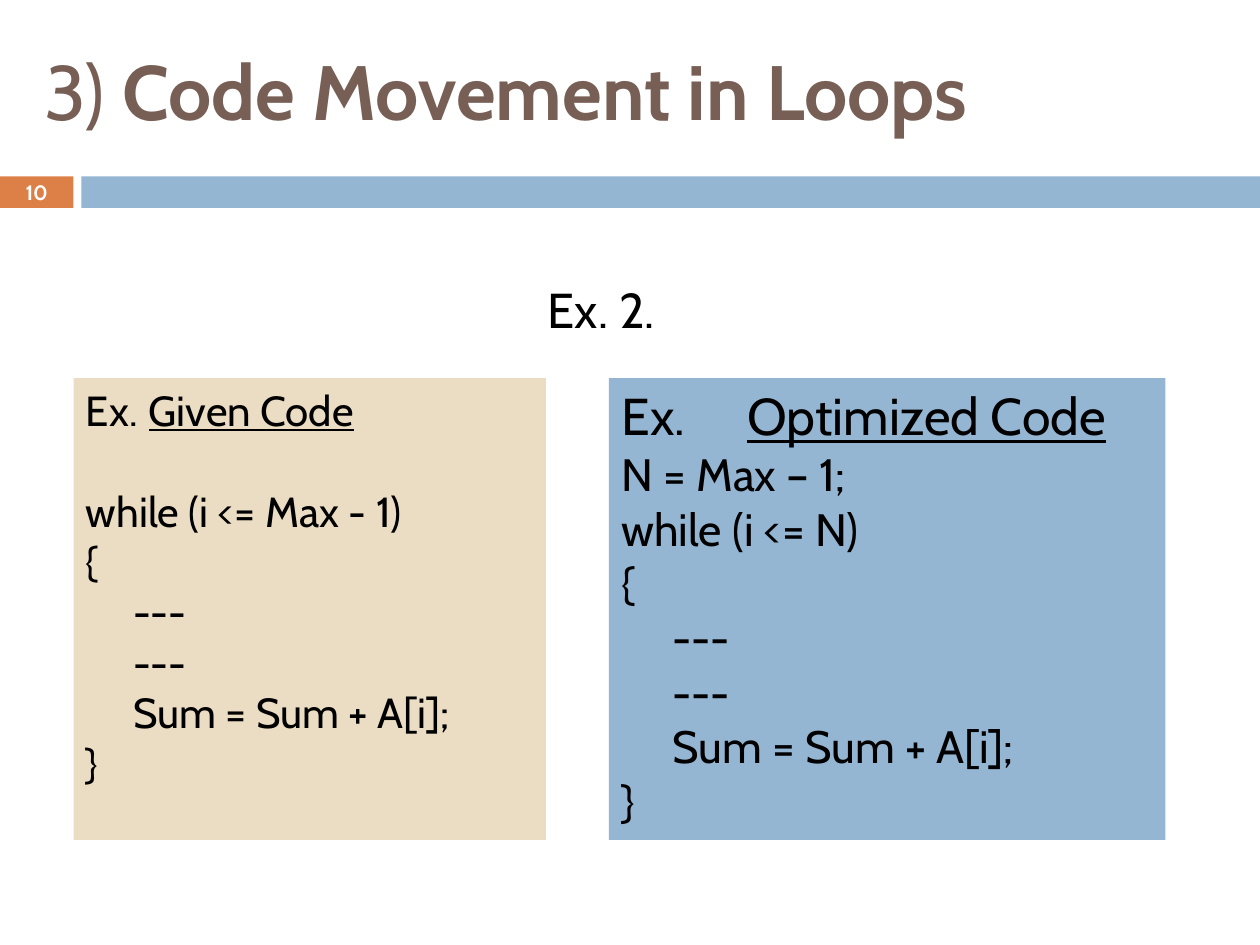
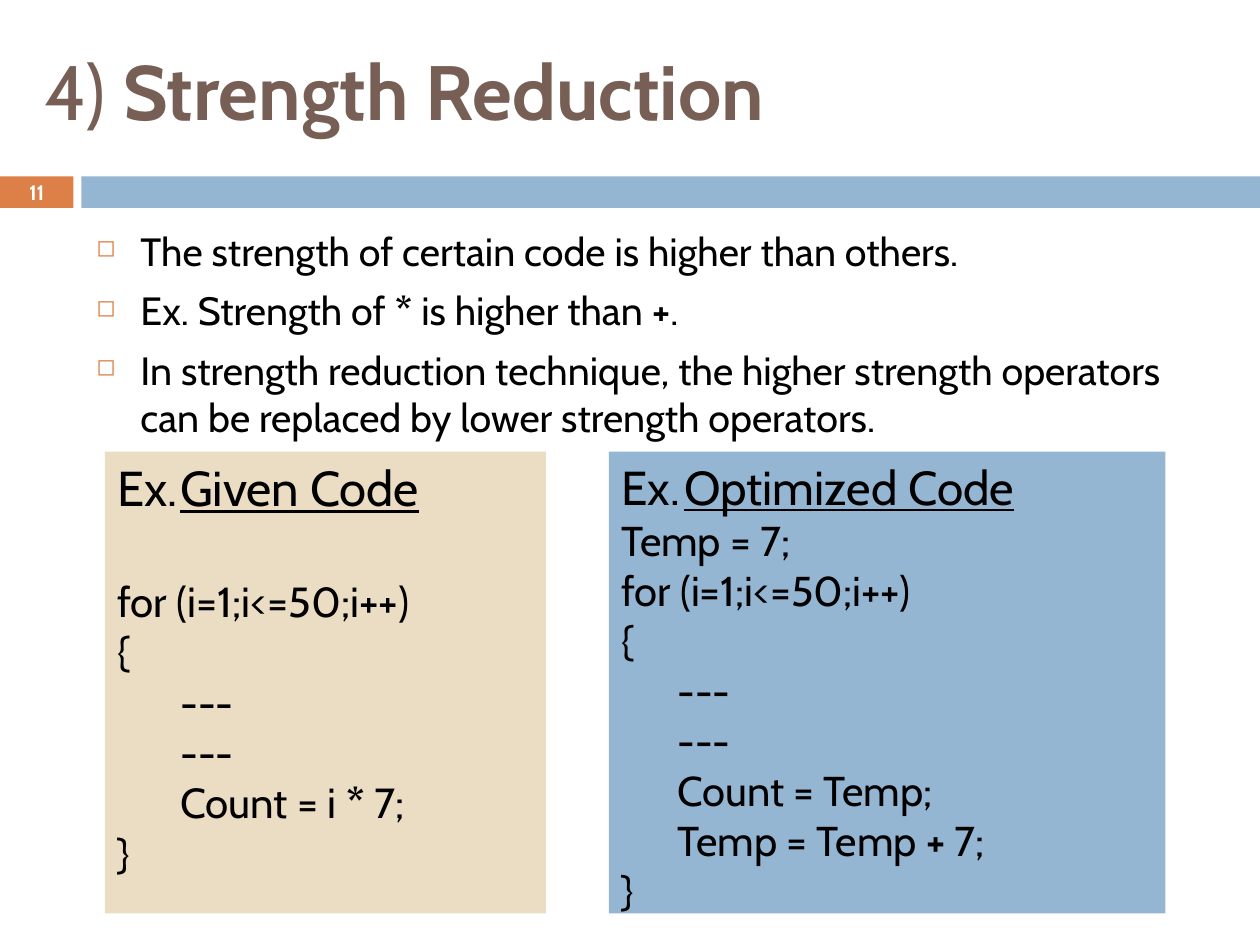
import pptx
import pptx.util
import pptx.dml.color
import pptx.enum.shapes
import pptx.enum.text
from dataclasses import dataclass
from lxml import etree

Pt = pptx.util.Pt
ALIGN = pptx.enum.text.PP_ALIGN
ANCHOR = pptx.enum.text.MSO_ANCHOR


@dataclass(frozen=True)
class Theme:
    font: str = "Cabin"
    brown: str = "775F55"
    orange: str = "DD8047"
    blue: str = "94B6D2"
    sand: str = "EBDDC3"
    black: str = "000000"
    white: str = "FFFFFF"
    title: float = 44
    note: float = 28
    point: float = 22.5
    page: float = 11.9
    line: float = 1.2


T = Theme()

# Content: a bar "|" switches bold on and off
SLIDES = [
    dict(
        page="10", title="3) |Code Movement in Loops", top=216, note="Ex. 2.", points=[],
        given=dict(left=42, sizes=(24, 24), gap=True, code=[
            "while (i <= Max - 1)", "{", "     ---", "     ---",
            "     Sum = Sum + A[i];", "}"]),
        better=dict(sizes=(29.6, 25.9), gap=False, code=[
            "N = Max – 1;", "while (i <= N)", "{", "     ---", "     ---",
            "     Sum = Sum + A[i];", "}"]),
    ),
    dict(
        page="11", title="4) |Strength Reduction", top=258, note="",
        points=[
            "The strength of certain code is higher than others.",
            "Ex. Strength of |*| is higher than |+|.",
            "In strength reduction technique, the higher strength operators "
            "can be replaced by lower strength operators."],
        given=dict(left=60, sizes=(28, 24), gap=True, code=[
            "for (i=1;i<=50;i++)", "{", "\t---", "\t---",
            "\tCount = i |*| 7;", "}"]),
        better=dict(sizes=(27.2, 23.8), gap=False, code=[
            "Temp = 7;", "for (i=1;i<=50;i++)", "{", "      ---", "      ---",
            "      Count = Temp;", "      Temp = Temp |+| 7;", "}"]),
    ),
]

# Page layout
WIDE, HIGH = 720, 540
BAND_TOP, BAND_HIGH = 100.8, 18
PAGE_WIDE, BAND_LEFT = 42, 46.5
GIVEN_END, BETTER_LEFT, BETTER_WIDE, PANEL_HIGH = 312, 348, 318, 264


def rgb(code):
    return pptx.dml.color.RGBColor.from_string(code)


def add_run(para, text, size, color, bold=False, under=False):
    run = para.add_run()
    run.text = text
    font = run.font
    font.name, font.size, font.bold, font.underline = T.font, Pt(size), bold, under
    font.color.rgb = rgb(color)


def add_runs(para, text, size, color):
    for i, part in enumerate(text.split("|")):
        if part:
            add_run(para, part, size, color, bold=i % 2 == 1)


def add_rect(slide, box, fill):
    kind = pptx.enum.shapes.MSO_SHAPE.RECTANGLE
    shape = slide.shapes.add_shape(kind, *map(Pt, box))
    shape.shadow.inherit = False
    shape.fill.solid()
    shape.fill.fore_color.rgb = rgb(fill)
    shape.line.fill.background()
    return shape


def add_bullet(para):
    props = para._p.get_or_add_pPr()
    props.set("marL", str(Pt(25.2)))
    props.set("indent", str(-Pt(25.2)))
    name = pptx.oxml.ns.qn
    color = etree.SubElement(props, name("a:buClr"))
    etree.SubElement(color, name("a:srgbClr"), val=T.orange)
    etree.SubElement(props, name("a:buSzPct"), val="60000")
    etree.SubElement(props, name("a:buChar"), char="◻")


def add_frame(slide, data):
    """Title, bands and page number."""
    title = slide.shapes.title
    title.left, title.top, title.width, title.height = map(Pt, (18, 12, 672, 78))
    frame = title.text_frame
    frame.vertical_anchor = ANCHOR.MIDDLE
    para = frame.paragraphs[0]
    para.alignment = ALIGN.LEFT
    add_runs(para, data["title"], T.title, T.brown)

    add_rect(slide, (BAND_LEFT, BAND_TOP, WIDE - BAND_LEFT, BAND_HIGH), T.blue)
    badge = add_rect(slide, (0, BAND_TOP, PAGE_WIDE, BAND_HIGH), T.orange)
    frame = badge.text_frame
    frame.margin_top = frame.margin_bottom = 0
    frame.vertical_anchor = ANCHOR.MIDDLE
    para = frame.paragraphs[0]
    para.alignment = ALIGN.CENTER
    add_run(para, data["page"], T.page, T.white, bold=True)


def add_panel(slide, box, fill, head, sizes, gap, code):
    frame = add_rect(slide, box, fill).text_frame
    frame.word_wrap = True
    frame.vertical_anchor = ANCHOR.TOP
    big, small = sizes
    para = frame.paragraphs[0]
    para.alignment = ALIGN.LEFT
    add_run(para, "Ex.\t", big, T.black)
    add_run(para, head, big, T.black, under=True)
    for i, line in enumerate(code):
        para = frame.add_paragraph()
        para.alignment = ALIGN.LEFT
        if gap and i == 0:
            para.space_before = Pt(big * T.line)
        add_runs(para, line, small, T.black)


def add_points(slide, points):
    box = slide.shapes.add_textbox(*map(Pt, (48, 126, 642, 114)))
    frame = box.text_frame
    frame.word_wrap = True
    for i, text in enumerate(points):
        para = frame.add_paragraph() if i else frame.paragraphs[0]
        if i:
            para.space_before = Pt(7)
        add_bullet(para)
        add_runs(para, text, T.point, T.black)


def add_note(slide, text):
    box = slide.shapes.add_textbox(*map(Pt, (306, 156, 77, 41)))
    box.text_frame.word_wrap = False
    add_run(box.text_frame.paragraphs[0], text, T.note, T.black)


def main():
    deck = pptx.Presentation()
    deck.slide_width, deck.slide_height = Pt(WIDE), Pt(HIGH)
    for data in SLIDES:
        slide = deck.slides.add_slide(deck.slide_layouts[5])
        add_frame(slide, data)
        if data["points"]:
            add_points(slide, data["points"])
        if data["note"]:
            add_note(slide, data["note"])

        # Code before and after
        given, better, top = data["given"], data["better"], data["top"]
        left = given["left"]
        add_panel(slide, (left, top, GIVEN_END - left, PANEL_HIGH), T.sand,
                  "Given Code", given["sizes"], given["gap"], given["code"])
        add_panel(slide, (BETTER_LEFT, top, BETTER_WIDE, PANEL_HIGH), T.blue,
                  "Optimized Code", **better)
    deck.save("out.pptx")


if __name__ == "__main__":
    main()
